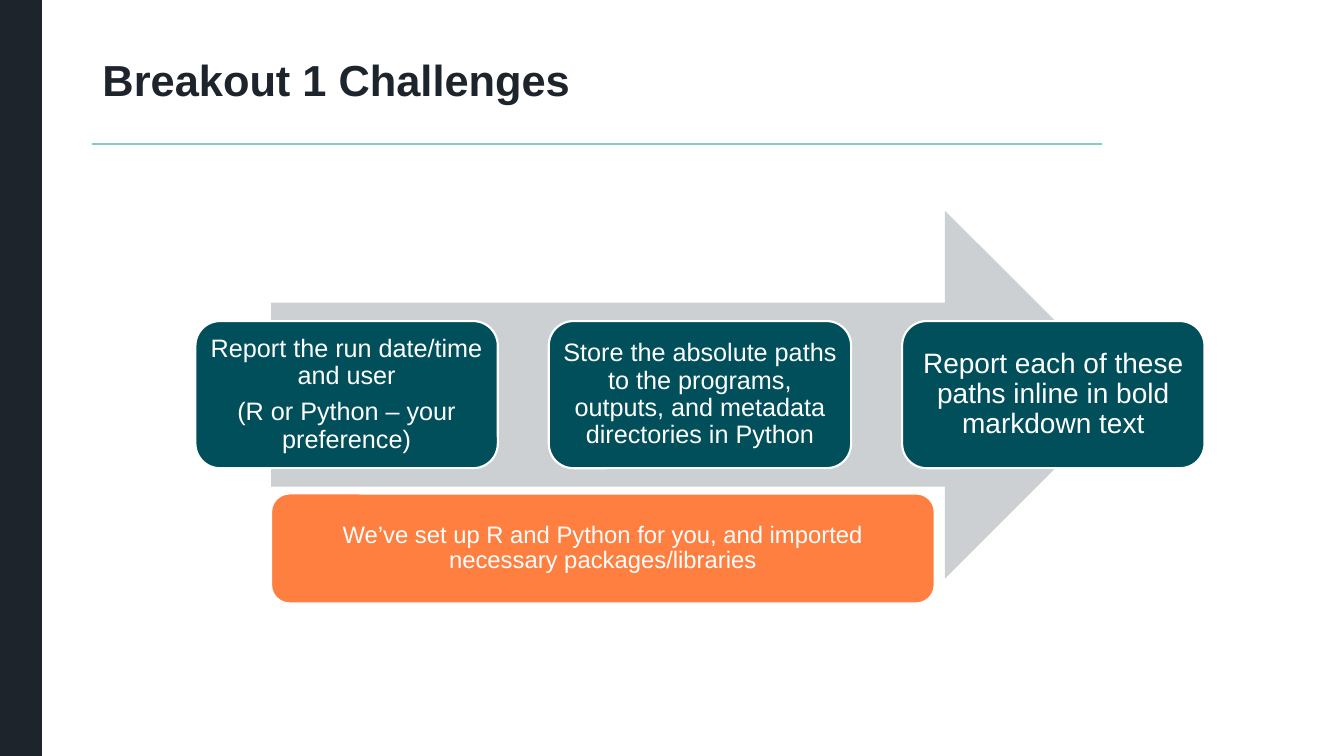
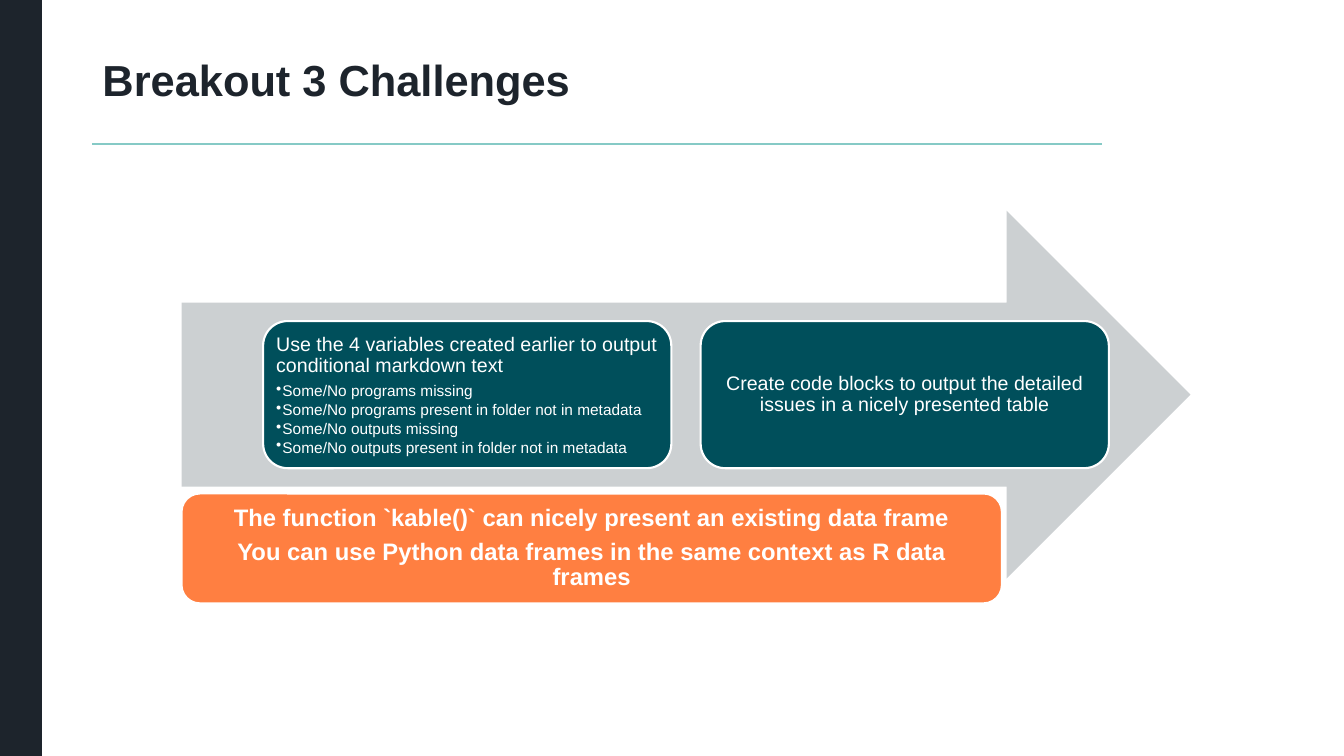
from dataclasses import dataclass

from lxml import etree
from pptx import Presentation
from pptx.dml.color import RGBColor
from pptx.enum.shapes import MSO_CONNECTOR, MSO_SHAPE
from pptx.enum.text import MSO_ANCHOR, MSO_AUTO_SIZE, PP_ALIGN
from pptx.oxml.ns import qn
from pptx.util import Pt

RECTANGLE = MSO_SHAPE.RECTANGLE
ROUNDED = MSO_SHAPE.ROUNDED_RECTANGLE
ARROW = MSO_SHAPE.RIGHT_ARROW
STRAIGHT = MSO_CONNECTOR.STRAIGHT
MIDDLE, TOP = MSO_ANCHOR.MIDDLE, MSO_ANCHOR.TOP
CENTER, LEFT = PP_ALIGN.CENTER, PP_ALIGN.LEFT


@dataclass(frozen=True)
class Theme:
    font: str = "Arial"
    ink: str = "1D242C"
    rule: str = "86CAC6"
    arrow: str = "CCD0D2"
    step: str = "004F5B"
    note: str = "FF7F41"
    white: str = "FFFFFF"
    title_size: int = 31
    note_size: int = 17
    bullet_size: int = 11
    line_spacing: float = 0.9
    space_after: float = 0.35
    bullet_space_after: float = 0.15


THEME = Theme()

# Content: each step has a type size, its paragraphs and optional bullets
SLIDES = [
    {
        "title": "Breakout 1 Challenges",
        "center": 500, "arrow_width": 612.7,
        "step_width": 216, "step_gap": 36.4,
        "steps": [
            {"size": 18, "inset": 5, "lines": [
                "Report the run date/time and user",
                "(R or Python – your preference)"]},
            {"size": 18, "inset": 5, "lines": [
                "Store the absolute paths to the programs, outputs, "
                "and metadata directories in Python"]},
            {"size": 20, "inset": 5.5, "lines": [
                "Report each of these paths inline in bold markdown text"]},
        ],
        "note": ["We’ve set up R and Python for you, and imported "
                 "necessary packages/libraries"],
        "note_width": 474, "note_inset": 20, "note_bold": False,
    },
    {
        "title": "Breakout 3 Challenges",
        "center": 490, "arrow_width": 720.7,
        "step_width": 291.6, "step_gap": 20.9,
        "steps": [
            {"size": 14, "inset": 4.2, "lines": [
                "Use the 4 variables created earlier to output "
                "conditional markdown text"],
             "bullets": [
                "Some/No programs missing",
                "Some/No programs present in folder not in metadata",
                "Some/No outputs missing",
                "Some/No outputs present in folder not in metadata"]},
            {"size": 14, "inset": 4.2, "lines": [
                "Create code blocks to output the detailed issues "
                "in a nicely presented table"]},
        ],
        "note": ["The function `kable()` can nicely present an existing data frame",
                 "You can use Python data frames in the same context as R data frames"],
        "note_width": 586, "note_inset": 24, "note_bold": True,
    },
]

# Layout, in points
SLIDE_WIDTH, SLIDE_HEIGHT = 960, 540
BAND_WIDTH = 30
TITLE_LEFT, TITLE_TOP, TITLE_WIDTH, TITLE_HEIGHT = 66, 38, 721, 42
RULE_TOP = 103
ARROW_TOP, ARROW_HEIGHT = 150.5, 262.8
STEP_HEIGHT = 0.4 * ARROW_HEIGHT
STEP_TOP = ARROW_TOP + (ARROW_HEIGHT - STEP_HEIGHT) / 2
NOTE_TOP, NOTE_HEIGHT, NOTE_INSET = 352.5, 78.5, 5
BULLET_INDENT = 4.5


def color(value):
    return RGBColor.from_string(value)


def add_block(slide, kind, left, top, width, height, fill, outline=None):
    shape = slide.shapes.add_shape(kind, Pt(left), Pt(top), Pt(width), Pt(height))
    shape.shadow.inherit = False
    shape.fill.solid()
    shape.fill.fore_color.rgb = color(fill)
    if outline:
        shape.line.color.rgb = color(outline)
        shape.line.width = Pt(1.5)
    else:
        shape.line.fill.background()
    return shape


def add_bullet(paragraph):
    properties = paragraph._p.get_or_add_pPr()
    properties.set("marL", str(Pt(BULLET_INDENT)))
    properties.set("indent", str(-Pt(BULLET_INDENT)))
    etree.SubElement(properties, qn("a:buChar")).set("char", "•")


def write_text(shape, lines, size, side_inset, inset, bullets=(), bold=False):
    frame = shape.text_frame
    frame.word_wrap = True
    frame.vertical_anchor = TOP if bullets else MIDDLE
    frame.margin_left = frame.margin_right = Pt(side_inset)
    frame.margin_top = frame.margin_bottom = Pt(inset)
    items = [(line, False) for line in lines] + [(line, True) for line in bullets]
    for index, (text, is_bullet) in enumerate(items):
        paragraph = frame.add_paragraph() if index else frame.paragraphs[0]
        paragraph.text = text
        paragraph.alignment = LEFT if bullets else CENTER
        paragraph.line_spacing = THEME.line_spacing
        text_size = THEME.bullet_size if is_bullet else size
        spacing = THEME.bullet_space_after if is_bullet else THEME.space_after
        paragraph.space_after = Pt(round(text_size * spacing, 1))
        font = paragraph.font
        font.name, font.size, font.bold = THEME.font, Pt(text_size), bold
        font.color.rgb = color(THEME.white)
        if is_bullet:
            paragraph.level = 1
            add_bullet(paragraph)


def style_layout_title(layout):
    title = layout.placeholders[0]
    title.left, title.top = Pt(TITLE_LEFT), Pt(TITLE_TOP)
    title.width, title.height = Pt(TITLE_WIDTH), Pt(TITLE_HEIGHT)
    title.text_frame.vertical_anchor = MIDDLE
    title.text_frame.auto_size = MSO_AUTO_SIZE.NONE
    styles = title.element.find(".//" + qn("a:lstStyle"))
    for old_style in list(styles):
        styles.remove(old_style)
    level = etree.SubElement(styles, qn("a:lvl1pPr"), algn="l")
    spacing = etree.SubElement(level, qn("a:lnSpc"))
    etree.SubElement(spacing, qn("a:spcPct"), val=str(int(THEME.line_spacing * 100000)))
    font = etree.SubElement(level, qn("a:defRPr"), sz=str(THEME.title_size * 100), b="1")
    fill = etree.SubElement(font, qn("a:solidFill"))
    etree.SubElement(fill, qn("a:srgbClr"), val=THEME.ink)
    etree.SubElement(font, qn("a:latin"), typeface=THEME.font)


def move_to_layout(layout, shapes):
    # Shapes go behind the layout's placeholders, with ids of their own
    for index, shape in enumerate(shapes):
        shape.element.find(".//" + qn("p:cNvPr")).set("id", str(100 + index))
        layout.shapes.element.insert(2 + index, shape.element)


def add_layout_decor(layout, slide):
    band = add_block(slide, RECTANGLE, 0, 0, BAND_WIDTH, SLIDE_HEIGHT, THEME.ink)
    rule = slide.shapes.add_connector(
        STRAIGHT, Pt(TITLE_LEFT), Pt(RULE_TOP),
        Pt(TITLE_LEFT + TITLE_WIDTH), Pt(RULE_TOP))
    rule.line.color.rgb = color(THEME.rule)
    rule.line.width = Pt(1)
    etree.SubElement(rule.element.spPr, qn("a:effectLst"))
    move_to_layout(layout, [band, rule])


def fill_slide(slide, content):
    slide.shapes.title.text = content["title"]

    # Arrow behind the steps
    arrow_left = content["center"] - content["arrow_width"] / 2
    add_block(slide, ARROW, arrow_left, ARROW_TOP, content["arrow_width"],
              ARROW_HEIGHT, THEME.arrow)

    # Steps, centred on the arrow
    steps, width = content["steps"], content["step_width"]
    pitch = width + content["step_gap"]
    first_left = content["center"] - (len(steps) * pitch - content["step_gap"]) / 2
    for index, step in enumerate(steps):
        shape = add_block(slide, ROUNDED, first_left + index * pitch, STEP_TOP,
                          width, STEP_HEIGHT, THEME.step, THEME.white)
        write_text(shape, step["lines"], step["size"], step["inset"],
                   step["inset"], step.get("bullets", ()))

    # Note below the arrow
    note = add_block(slide, ROUNDED, arrow_left, NOTE_TOP, content["note_width"],
                     NOTE_HEIGHT, THEME.note, THEME.white)
    write_text(note, content["note"], THEME.note_size, content["note_inset"],
               NOTE_INSET, bold=content["note_bold"])


def main():
    presentation = Presentation()
    presentation.slide_width, presentation.slide_height = Pt(SLIDE_WIDTH), Pt(SLIDE_HEIGHT)
    layout = presentation.slide_layouts.get_by_name("Title Only")
    style_layout_title(layout)
    slides = [presentation.slides.add_slide(layout) for _ in SLIDES]
    add_layout_decor(layout, slides[0])
    for slide, content in zip(slides, SLIDES):
        fill_slide(slide, content)
    presentation.save("out.pptx")


if __name__ == "__main__":
    main()
